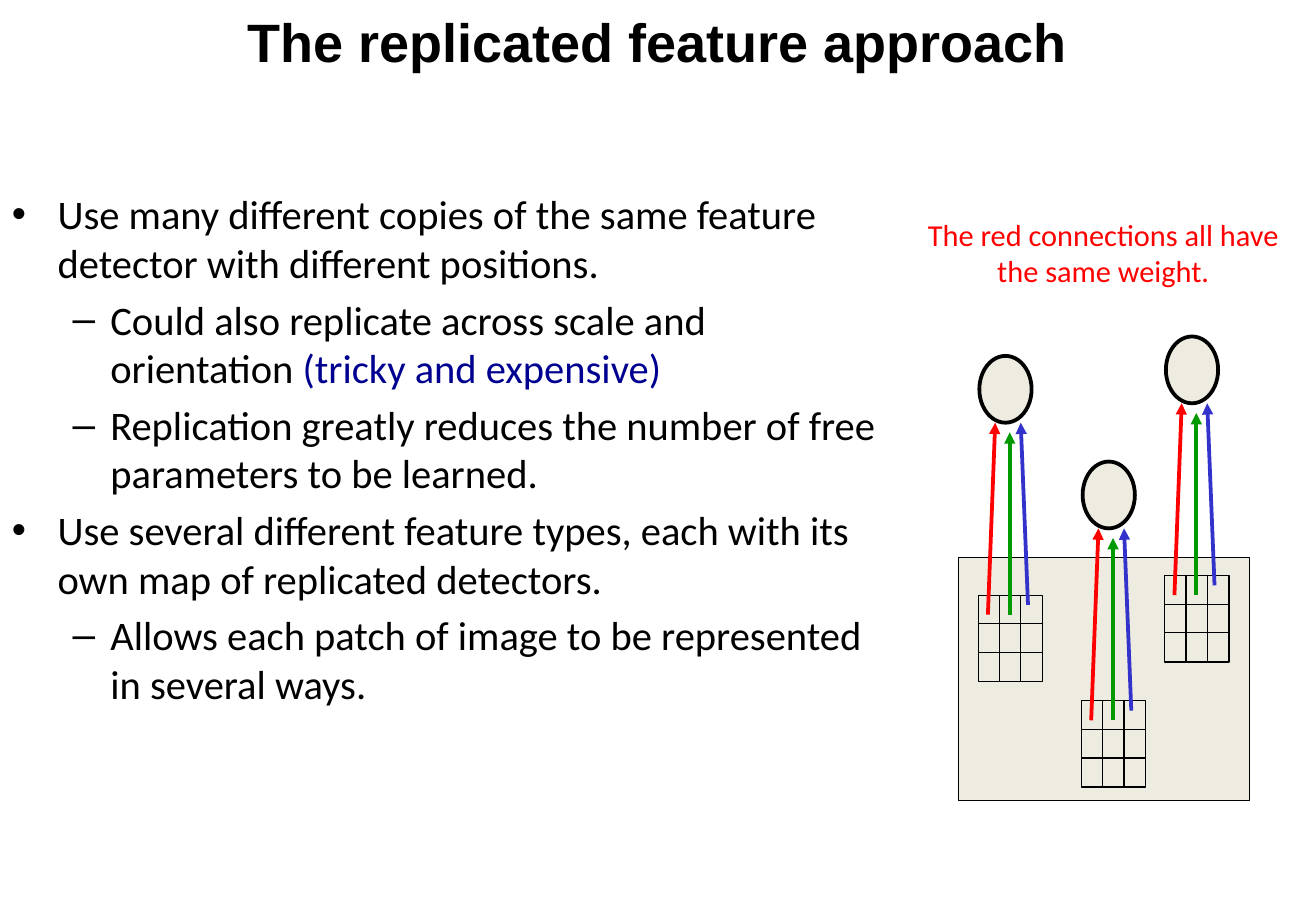
from itertools import product

from lxml.etree import SubElement
from pptx import Presentation
from pptx.dml.color import RGBColor
from pptx.enum.shapes import MSO_CONNECTOR, MSO_SHAPE
from pptx.enum.text import MSO_ANCHOR, PP_ALIGN
from pptx.oxml.ns import qn
from pptx.util import Pt

PX = 4572  # 200 px to the inch
color = RGBColor.from_string


def add_solid(kind, left, top, width, height, weight):
    solid = page.shapes.add_shape(kind, left * PX, top * PX, width * PX, height * PX)
    solid.shadow.inherit = False
    solid.fill.solid()
    solid.fill.fore_color.rgb = color("EEECE1")
    solid.line.color.rgb = color("000000")
    solid.line.width = Pt(weight)


def add_text(left, top, width, height, paragraphs, font, **formats):
    box = page.shapes.add_textbox(left * PX, top * PX, width * PX, height * PX)
    frame = box.text_frame
    frame.word_wrap = True
    for name, value in formats.items():
        setattr(frame, name, value)
    for index, spans in enumerate(paragraphs):
        para = frame.paragraphs[0] if index == 0 else frame.add_paragraph()
        for text, hex_color in spans:
            span = para.add_run()
            span.text = text
            span.font.color.rgb = color(hex_color)
            for name, value in font.items():
                setattr(span.font, name, value)
    return frame.paragraphs


deck = Presentation()
deck.slide_width, deck.slide_height = 2166 * PX, 1500 * PX
page = deck.slides.add_slide(deck.slide_layouts[6])

# Bulleted text: level, then spans of text and colour
points = [
    (0, [("Use many different copies of the same feature detector with different positions.", "000000")]),
    (1, [("Could also replicate across scale and orientation ", "000000"),
         ("(tricky and expensive)", "000090")]),
    (1, [("Replication greatly reduces the number of free parameters to be learned.", "000000")]),
    (0, [("Use several different feature types, each with its own map of replicated detectors.", "000000")]),
    (1, [("Allows each patch of image to be represented in several ways.", "000000")]),
]
bullets = [("•", 75, -75), ("–", 162, -62)]  # character, margin, indent
paras = add_text(0, 302, 1476, 1078, [spans for _, spans in points],
                 {"name": "Calibri", "size": Pt(24)})
for para, (level, _) in zip(paras, points):
    character, margin, indent = bullets[level]
    para.level = level
    para.space_before = Pt(4.8)
    properties = para._p.get_or_add_pPr()
    properties.set("marL", str(margin * PX))
    properties.set("indent", str(indent * PX))
    SubElement(properties, qn("a:buFont"), typeface="Arial")
    SubElement(properties, qn("a:buChar"), char=character)

# Input image
add_solid(MSO_SHAPE.RECTANGLE, 1578, 918, 478, 400, 0.75)

# Detectors: a 3 by 3 patch, a unit above it and three weighted connections
patches = [(1610, 980), (1917, 948), (1780, 1154)]
connections = [
    ("FF0000", 16, 32, 28, -284),
    ("009900", 52, 32, 52, -268),
    ("3333CC", 82, 16, 70, -284),
]
for left, top in patches:
    for row, column in product(range(3), repeat=2):
        add_solid(MSO_SHAPE.RECTANGLE, left + 35 * column, top + 47 * row, 36, 48, 0.75)
    add_solid(MSO_SHAPE.OVAL, left + 2, top - 394, 86, 110, 2.25)
    for hex_color, start_x, start_y, end_x, end_y in connections:
        arrow = page.shapes.add_connector(
            MSO_CONNECTOR.STRAIGHT, (left + start_x) * PX, (top + start_y) * PX,
            (left + end_x) * PX, (top + end_y) * PX)
        arrow.line.color.rgb = color(hex_color)
        arrow.line.width = Pt(2.25)
        SubElement(arrow.line._get_or_add_ln(), qn("a:tailEnd"), type="triangle")
        SubElement(arrow._element.spPr, qn("a:effectLst"))

# Caption and title
caption = add_text(1492, 344, 648, 144,
                   [[("The red connections all have the same weight.", "FF0000")]],
                   {"name": "Calibri", "size": Pt(18)},
                   margin_left=24 * PX, margin_right=24 * PX,
                   margin_top=12 * PX, margin_bottom=12 * PX)
title = add_text(108, 2, 1950, 132,
                 [[("The replicated feature approach", "000000")]],
                 {"name": "Arial", "size": Pt(32), "bold": True},
                 vertical_anchor=MSO_ANCHOR.MIDDLE)
for para in (caption[0], title[0]):
    para.alignment = PP_ALIGN.CENTER

deck.save("out.pptx")
